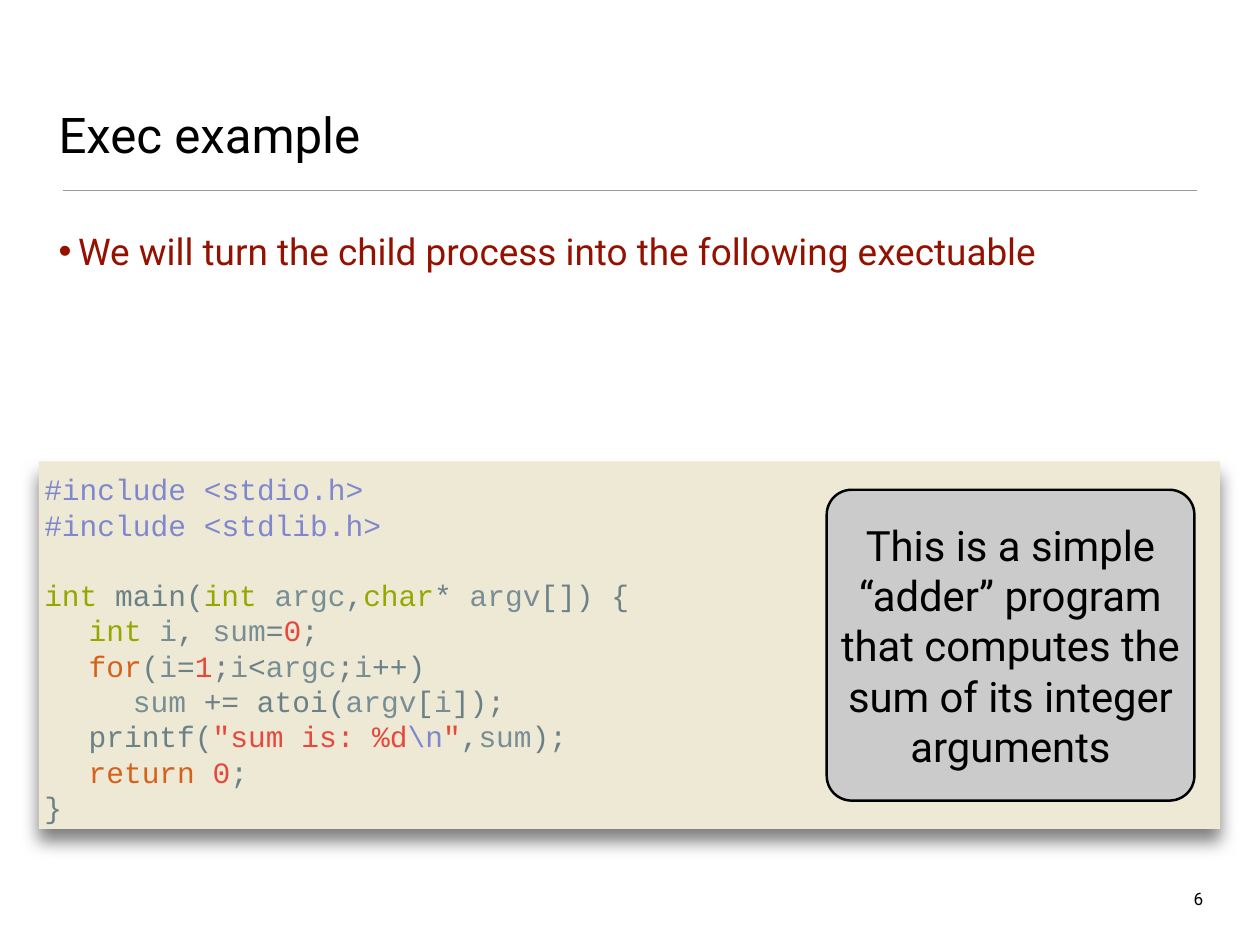
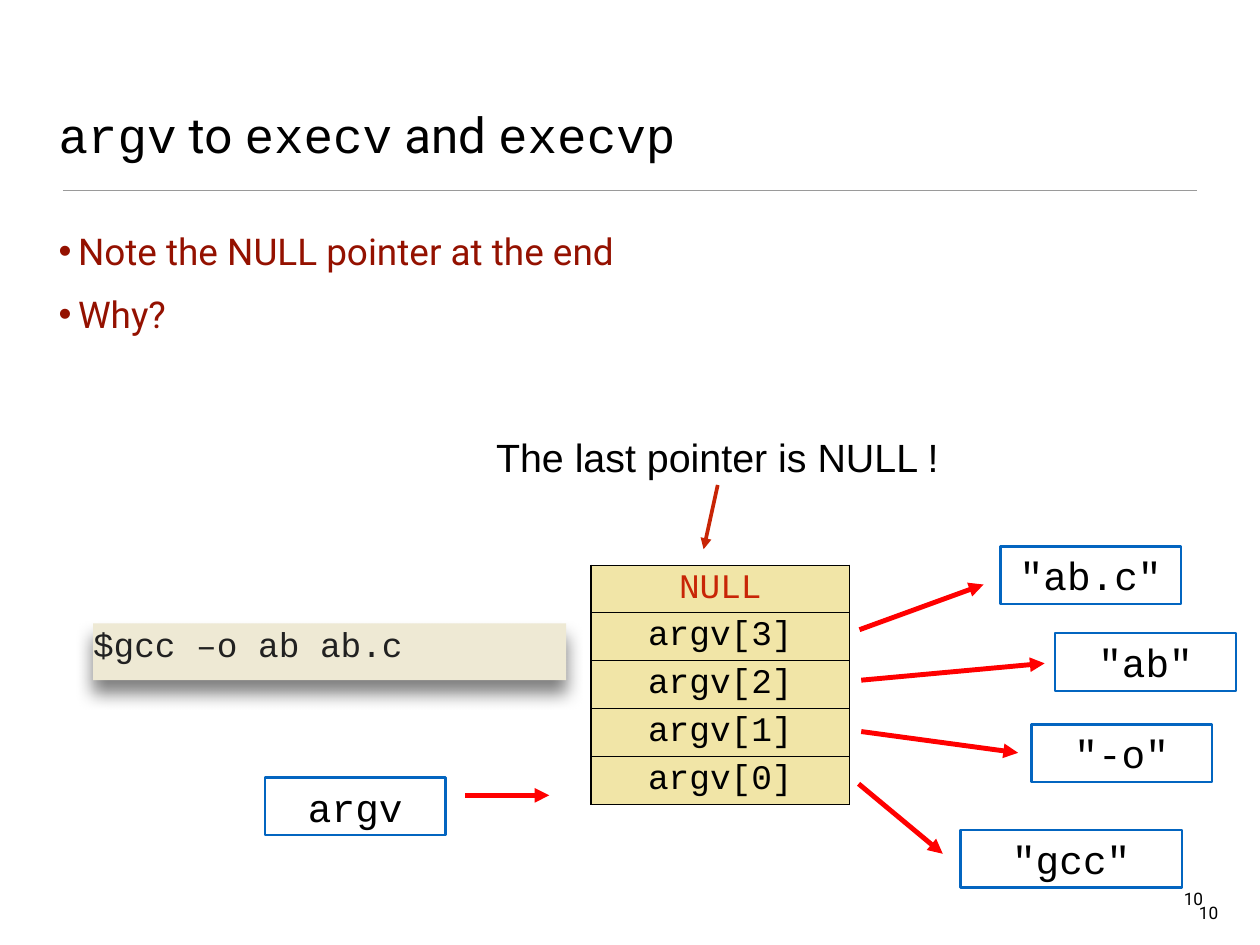
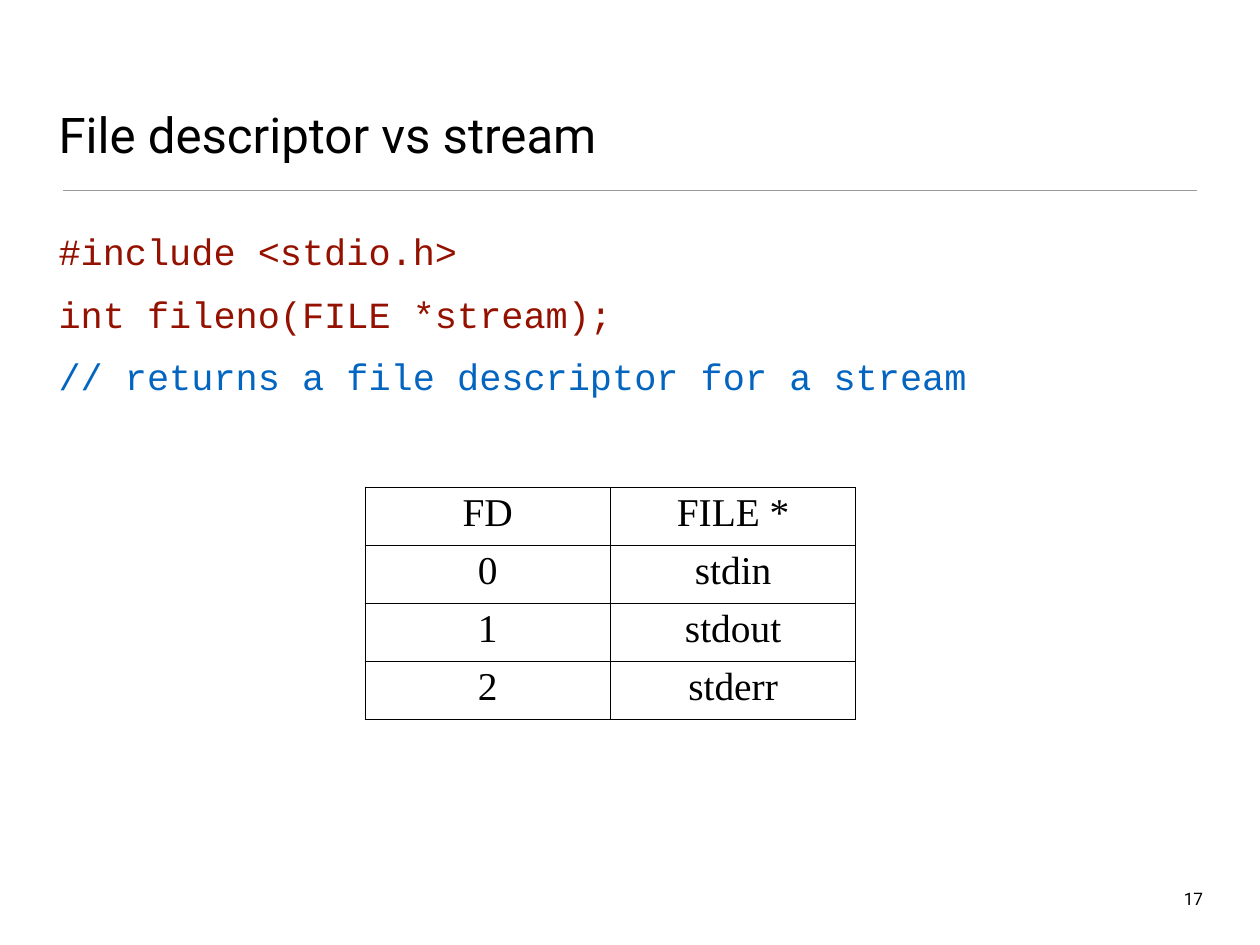
import pptx
import pptx.util
import pptx.oxml
import pptx.oxml.ns
import pptx.dml.color
import pptx.enum.text
import pptx.enum.shapes

Inches = pptx.util.Inches
Pt = pptx.util.Pt
RGBColor = pptx.dml.color.RGBColor
Align = pptx.enum.text.PP_ALIGN
Anchor = pptx.enum.text.MSO_ANCHOR
Form = pptx.enum.shapes.MSO_SHAPE
qn = pptx.oxml.ns.qn

BLACK = RGBColor(0x00, 0x00, 0x00)
WINE = RGBColor(0x94, 0x11, 0x00)
BLUE = RGBColor(0x03, 0x65, 0xC0)
RULE = RGBColor(0x9A, 0x9A, 0x9A)
CREAM = RGBColor(0xEE, 0xE9, 0xD4)
SAND = RGBColor(0xF1, 0xE5, 0xA7)
GREY = RGBColor(0xCB, 0xCB, 0xCB)
INK = RGBColor(0x21, 0x21, 0x21)
RED = RGBColor(0xFF, 0x00, 0x00)
BRICK = RGBColor(0xC8, 0x25, 0x06)

# Syntax colours of the program listing
HASH = RGBColor(0x7F, 0x87, 0xCF)
TYPE = RGBColor(0x96, 0xA7, 0x00)
MARK = RGBColor(0x6A, 0x81, 0x88)
NAME = RGBColor(0x78, 0x8E, 0x95)
VALUE = RGBColor(0xE5, 0x49, 0x3D)
WORD = RGBColor(0xD7, 0x60, 0x1B)

SANS, MONO, SERIF, PLAIN = "Roboto", "Courier New", "Times New Roman", "Arial"

# Each slide: title runs, list lines, bullets shown, number
EXEC = ([("Exec example", SANS)],
        [("We will turn the child process into the following exectuable",
          SANS, WINE)], True, "6")
ARGV = ([("argv", MONO), (" to ", SANS), ("execv", MONO), (" and ", SANS),
         ("execvp", MONO)],
        [("Note the NULL pointer at the end", SANS, WINE),
         ("Why?", SANS, WINE)], True, "10")
FILES = ([("File descriptor vs stream", SANS)],
         [("#include <stdio.h>", MONO, WINE),
          ("int fileno(FILE *stream);", MONO, WINE),
          ("// returns a file descriptor for a stream", MONO, BLUE)],
         False, "17")

# Program lines: indent level, lines skipped above, coloured parts
CODE = [
    (0, 0, [("#include <stdio.h>", HASH)]),
    (0, 0, [("#include <stdlib.h>", HASH)]),
    (0, 1, [("int ", TYPE), ("main(", MARK), ("int ", TYPE), ("argc", NAME),
            (",", MARK), ("char", TYPE), ("* ", MARK), ("argv", NAME),
            ("[]) {", MARK)]),
    (1, 0, [("int ", TYPE), ("i", NAME), (", ", MARK), ("sum", NAME),
            ("=", MARK), ("0", VALUE), (";", MARK)]),
    (1, 0, [("for", WORD), ("(", MARK), ("i", NAME), ("=", MARK),
            ("1", VALUE), (";", MARK), ("i", NAME), ("<", MARK),
            ("argc", NAME), (";", MARK), ("i", NAME), ("++)", MARK)]),
    (2, 0, [("sum ", NAME), ("+= atoi(", MARK), ("argv", NAME), ("[", MARK),
            ("i", NAME), ("]);", MARK)]),
    (1, 0, [("printf(", MARK), ('"sum is: %d', VALUE), ("\\n", HASH),
            ('"', VALUE), (",", MARK), ("sum", NAME), (");", MARK)]),
    (1, 0, [("return ", WORD), ("0", VALUE), (";", MARK)]),
    (0, 0, [("}", MARK)]),
]
NOTE = ("This is a simple \u201cadder\u201d program that computes the sum "
        "of its integer arguments")

CELLS = [["NULL"]] + [[f"argv[{i}]"] for i in (3, 2, 1, 0)]
# Boxes: text, left, top, width, then arrow start and end
BOXES = [
    ("argv", 2.99, 8.78, 2.04, (5.25, 8.98), (6.2, 8.98)),
    ('"ab.c"', 11.29, 6.17, 2.04, (9.7, 7.11), (11.1, 6.6)),
    ('"ab"', 11.91, 7.15, 2.04, (9.72, 7.68), (11.79, 7.49)),
    ('"-o"', 11.64, 8.18, 2.04, (9.72, 8.26), (11.49, 8.5)),
    ('"gcc"', 10.84, 9.37, 2.5, (9.69, 8.85), (10.64, 9.64)),
]
STREAMS = [["FD", "FILE *"], ["0", "stdin"], ["1", "stdout"], ["2", "stderr"]]


def make(text):
    """Build a drawing element from XML text with its namespace added."""
    head, tail = text.split(" ", 1)
    return pptx.oxml.parse_xml(f"{head} {pptx.oxml.ns.nsdecls('a')} {tail}")


def write(par, runs, size, align=Align.LEFT):
    """Add (text, font, colour) runs to a paragraph."""
    par.alignment = align
    for text, face, color in runs:
        run = par.add_run()
        run.text = text
        run.font.size = Pt(size)
        run.font.name = face
        run.font.color.rgb = color


def setup(shape, inset=0.04, anchor=Anchor.TOP, wrap=True):
    """Set the insets, anchor and wrapping of a shape; return its frame."""
    frame = shape.text_frame
    frame.auto_size = pptx.enum.text.MSO_AUTO_SIZE.NONE
    frame.word_wrap = wrap
    frame.vertical_anchor = anchor
    frame.margin_left = frame.margin_right = Inches(inset)
    frame.margin_top = frame.margin_bottom = Inches(inset)
    return frame


def place(shape, left, top, width, height):
    """Move and size a shape, in inches."""
    shape.left, shape.top = Inches(left), Inches(top)
    shape.width, shape.height = Inches(width), Inches(height)


def block(slide, form, area, fill=None, line=None, weight=2):
    """Add a preset shape without a shadow."""
    shape = slide.shapes.add_shape(form, *map(Inches, area))
    shape.shadow.inherit = False
    if fill is None:
        shape.fill.background()
    else:
        shape.fill.solid()
        shape.fill.fore_color.rgb = fill
    if line is None:
        shape.line.fill.background()
    else:
        shape.line.color.rgb = line
        shape.line.width = Pt(weight)
    return shape


def shade(shape):
    """Give a panel its soft shadow below."""
    spot = shape.element.spPr.find(qn("a:effectLst"))
    spot.append(make(
        f'<a:outerShdw blurRad="{Pt(14)}" dist="{Pt(11)}" dir="5400000" '
        'rotWithShape="0"><a:srgbClr val="000000"><a:alpha val="50000"/>'
        '</a:srgbClr></a:outerShdw>'))


def point(shape):
    """Put an arrowhead at the end of a line."""
    shape.element.spPr.find(qn("a:ln")).append(
        make('<a:tailEnd type="triangle"/>'))


def draw(slide, start, end, color, weight):
    """Add a straight line between two points."""
    kind = pptx.enum.shapes.MSO_CONNECTOR.STRAIGHT
    line = slide.shapes.add_connector(kind, *map(Inches, start + end))
    line.line.color.rgb = color
    line.line.width = Pt(weight)
    line.element.spPr.append(make("<a:effectLst />"))
    return line


def count(slide, text, left=13.31, top=9.99):
    """Add a page number."""
    box = slide.shapes.add_textbox(*map(Inches, (left, top, 0.31, 0.3)))
    write(setup(box, wrap=False).paragraphs[0], [(text, SANS, BLACK)],
          14, Align.RIGHT)


def begin(deck, title, lines, dots, number):
    """Add a slide with title, rule, list and page number."""
    slide = deck.slides.add_slide(deck.slide_layouts[1])
    head, body = slide.placeholders
    place(head, 0.62, 0.36, 12.97, 1.53)
    write(setup(head, anchor=Anchor.BOTTOM).paragraphs[0],
          [(text, face, BLACK) for text, face in title], 40)
    draw(slide, (0.71, 2.15), (13.51, 2.15), RULE, 1)
    place(body, 0.62, 2.54, 12.97, 7.18)
    frame = setup(body)
    for i, line in enumerate(lines):
        par = frame.add_paragraph() if i else frame.paragraphs[0]
        write(par, [line], 30)
        par.space_before = Pt(15)
        prop = par._p.get_or_add_pPr()
        hang = Inches(0.22) if dots else 0
        prop.set("marL", str(hang))
        prop.set("indent", str(-hang))
        if dots:
            prop.append(make('<a:buFont typeface="Arial"/>'))
            prop.append(make('<a:buChar char="\u2022"/>'))
        else:
            prop.append(make("<a:buNone />"))
    count(slide, number)
    return slide


def grid(slide, rows, area, face, size, fill=None, tint=None):
    """Add a ruled table; tint colours the text of the first row."""
    table = slide.shapes.add_table(len(rows), len(rows[0]),
                                   *map(Inches, area)).table
    table.first_row = table.horz_banding = False
    for r, row in enumerate(rows):
        for c, text in enumerate(row):
            cell = table.cell(r, c)
            color = tint if tint is not None and r == 0 else BLACK
            write(cell.text_frame.paragraphs[0], [(text, face, color)],
                  size, Align.CENTER)
            if fill is None:
                cell.fill.background()
            else:
                cell.fill.solid()
                cell.fill.fore_color.rgb = fill
            prop = cell._tc.get_or_add_tcPr()
            for i, side in enumerate("LRTB"):
                prop.insert(i, make(
                    f'<a:ln{side} w="{Pt(1)}"><a:solidFill><a:srgbClr '
                    f'val="{BLACK}"/></a:solidFill></a:ln{side}>'))


def exec_page(deck):
    """Show the adder program and its note."""
    slide = begin(deck, *EXEC)
    panel = block(slide, Form.RECTANGLE, (0.44, 5.21, 13.33, 4.15), CREAM)
    shade(panel)
    frame = setup(panel, 0.06, Anchor.MIDDLE)
    frame.margin_top = Inches(0.12)
    pitch = 28.7
    for i, (level, skip, parts) in enumerate(CODE):
        par = frame.add_paragraph() if i else frame.paragraphs[0]
        write(par, [(text, MONO, color) for text, color in parts], 24)
        par.line_spacing = Pt(pitch)
        par.space_before = Pt(skip * pitch)
        par._p.get_or_add_pPr().set("marL", str(Inches(0.5 * level)))
    note = block(slide, Form.ROUNDED_RECTANGLE, (9.33, 5.53, 4.15, 3.51),
                 GREY, BLACK)
    note.adjustments[0] = 0.08
    write(setup(note, anchor=Anchor.MIDDLE).paragraphs[0],
          [(NOTE, SANS, BLACK)], 34, Align.CENTER)


def argv_page(deck):
    """Show the argument array and what its pointers reach."""
    slide = begin(deck, *ARGV)
    grid(slide, CELLS, (6.67, 6.38, 2.92, 2.35), MONO, 28, SAND, BRICK)
    for text, left, top, width, start, end in BOXES:
        box = block(slide, Form.RECTANGLE, (left, top, width, 0.65),
                    line=BLUE)
        write(setup(box, 0.06, Anchor.MIDDLE).paragraphs[0],
              [(text, MONO, BLACK)], 32, Align.CENTER)
        point(draw(slide, start, end, RED, 4))
    shell = block(slide, Form.RECTANGLE, (1.05, 7.04, 5.34, 0.64), CREAM)
    shade(shell)
    write(setup(shell, 0).paragraphs[0],
          [("$gcc \u2013o ab ab.c", MONO, INK)], 28)
    count(slide, "10", 13.48, 10.15)
    call = block(slide, Form.LINE_CALLOUT_1_NO_BORDER,
                 (5.44, 4.85, 5.32, 0.62), line=BRICK, weight=3)
    for i, value in enumerate((1.01, 0.5, 2.18, 0.47)):
        call.adjustments[i] = value
    point(call)
    write(setup(call, anchor=Anchor.MIDDLE).paragraphs[0],
          [("The last pointer is NULL !", PLAIN, BLACK)], 32, Align.CENTER)


def files_page(deck):
    """Show descriptors beside their streams."""
    slide = begin(deck, *FILES)
    grid(slide, STREAMS, (4.12, 5.5, 5.54, 2.62), SERIF, 32)


deck = pptx.Presentation()
deck.slide_width, deck.slide_height = Inches(14.22), Inches(10.67)
exec_page(deck)
argv_page(deck)
files_page(deck)
deck.save("out.pptx")
